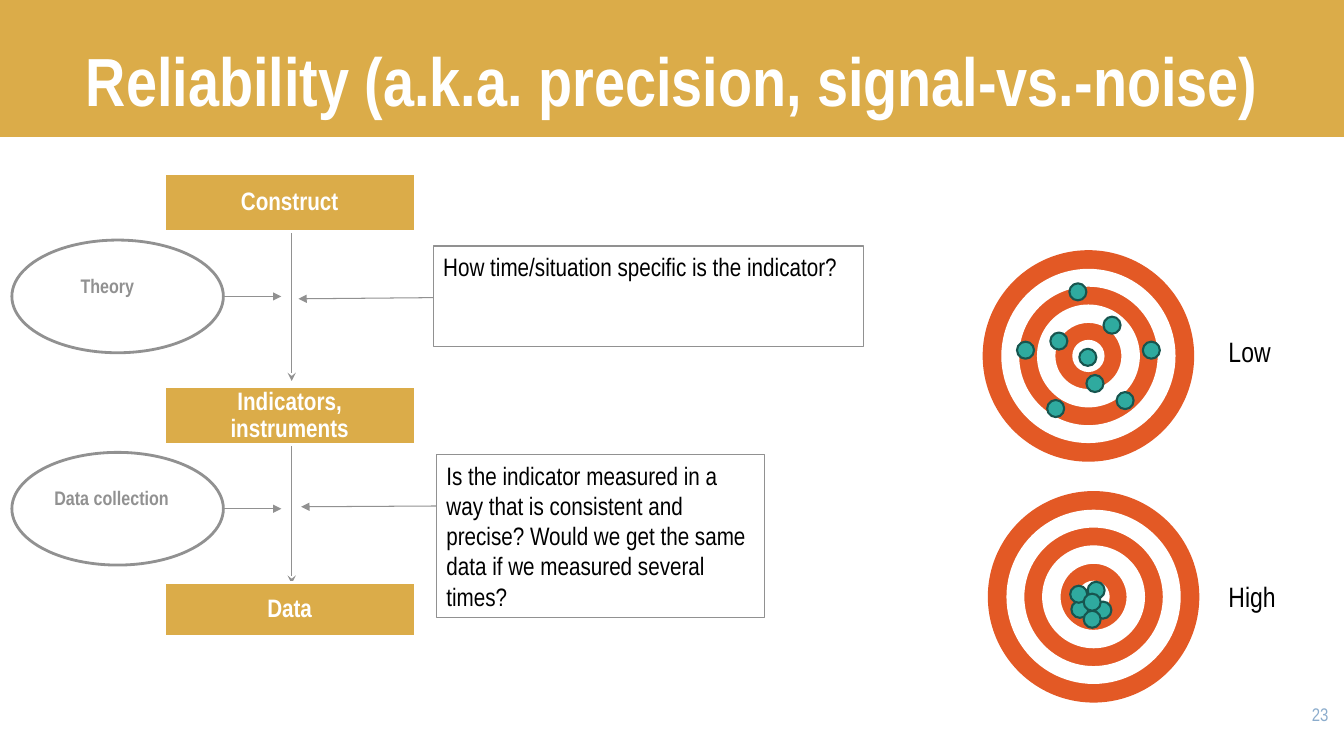
from dataclasses import dataclass, field

from lxml import etree
from pptx import Presentation
from pptx.dml.color import RGBColor
from pptx.enum.shapes import MSO_CONNECTOR, MSO_SHAPE
from pptx.enum.text import MSO_ANCHOR, PP_ALIGN
from pptx.oxml.ns import qn
from pptx.util import Cm, Pt

GOLD = RGBColor(0xDB, 0xAC, 0x49)
GRAY = RGBColor(0x91, 0x91, 0x91)
WHITE = RGBColor(0xFF, 0xFF, 0xFF)
BLACK = RGBColor(0x00, 0x00, 0x00)
BLUE = RGBColor(0x8B, 0xAC, 0xCC)
ORANGE = RGBColor(0xE3, 0x59, 0x25)
TEAL = RGBColor(0x2F, 0xAA, 0x9F)
DARK_TEAL = RGBColor(0x17, 0x55, 0x4F)

RECTANGLE, OVAL, DONUT = MSO_SHAPE.RECTANGLE, MSO_SHAPE.OVAL, MSO_SHAPE.DONUT
STRAIGHT = MSO_CONNECTOR.STRAIGHT
LEFT, CENTER, RIGHT = PP_ALIGN.LEFT, PP_ALIGN.CENTER, PP_ALIGN.RIGHT
TOP, MIDDLE, BOTTOM = MSO_ANCHOR.TOP, MSO_ANCHOR.MIDDLE, MSO_ANCHOR.BOTTOM

FONT = "Arial Narrow"
SLIDE_WIDTH = 33.87
STAGE_LEFT, STAGE_WIDTH = 4.14, 6.32
SPINE_X = 7.35
OVAL_LEFT, OVAL_WIDTH, OVAL_HEIGHT = 0.3, 5.33, 2.84
DOT_SIZE = 0.43


@dataclass(frozen=True)
class Box:
    """Position and size in centimetres."""
    left: float
    top: float
    width: float
    height: float


@dataclass(frozen=True)
class TextStyle:
    size: float
    color: RGBColor
    bold: bool = False
    align: PP_ALIGN = LEFT
    anchor: MSO_ANCHOR = TOP
    spacing: float = 1.0
    margins: tuple[float, float] = (0.25, 0.13)  # sides, top and bottom


@dataclass(frozen=True)
class Stage:
    text: str
    top: float
    height: float


@dataclass(frozen=True)
class Influence:
    text: str
    text_left: float
    top: float


@dataclass(frozen=True)
class Note:
    text: str
    box: Box
    arrow_start_y: float
    arrow_end: tuple[float, float]


@dataclass(frozen=True)
class Target:
    label: str
    label_top: float
    center: tuple[float, float]
    dots: list[tuple[float, float]] = field(default_factory=list)


TITLE_STYLE = TextStyle(48.6, WHITE, True, CENTER, BOTTOM)
STAGE_STYLE = TextStyle(18, WHITE, True, CENTER, MIDDLE, 0.9, (0.6, 0.1))
NOTE_STYLE = TextStyle(18, BLACK)
INFLUENCE_STYLE = TextStyle(14, GRAY, True, margins=(0.89, 0.6))
LABEL_STYLE = TextStyle(20, BLACK, margins=(0.25, 0.25))
NUMBER_STYLE = TextStyle(13, BLUE, align=RIGHT)

STAGES = [
    Stage("Construct", 4.37, 1.47),
    Stage("Indicators, instruments", 9.75, 1.45),
    Stage("Data", 14.68, 1.35),
]
SPINE_ARROWS = [(5.84, 9.6), (11.2, 14.71)]
INFLUENCES = [
    Influence("Theory", 1.14, 6.05),
    Influence("Data collection", 0.48, 11.4),
]
NOTES = [
    Note("How time/situation specific is the indicator?",
         Box(10.92, 6.2, 10.85, 2.54), 7.5, (7.52, 7.53)),
    Note("Is the indicator measured in a way that is consistent and precise? "
         "Would we get the same data if we measured several times?",
         Box(11, 11.46, 8.26, 4.11), 12.75, (7.59, 12.77)),
]
TARGETS = [
    Target("Low", 8.18, (27.43, 8.97),
           [(26.95, 7.14), (26.39, 10.08), (28.14, 9.88), (26.47, 8.38), (27.81, 7.98),
            (27.38, 9.45), (25.63, 8.61), (28.8, 8.61), (27.2, 8.79)]),
    Target("High", 14.35, (27.56, 15.04),
           [(27.41, 14.66), (27, 15.14), (27.58, 15.16), (26.97, 14.76),
            (27.31, 15.39), (27.31, 14.96)]),
]
# Preset, diameter, ring thickness, fill, line width
RINGS = [
    (OVAL, 5.33, None, ORANGE, 0),
    (DONUT, 4.32, 0.088, WHITE, 2),
    (DONUT, 2.54, 0.162, WHITE, 1.5),
    (OVAL, 0.76, None, WHITE, 1.5),
]


def write_text(shape, text: str, style: TextStyle) -> None:
    side, edge = (Cm(margin) for margin in style.margins)
    paragraph = shape.text_frame.paragraphs[0]
    paragraph.text = text
    formats = {
        shape.text_frame: {"word_wrap": True, "vertical_anchor": style.anchor,
                           "margin_left": side, "margin_right": side,
                           "margin_top": edge, "margin_bottom": edge},
        paragraph: {"alignment": style.align, "line_spacing": style.spacing},
        paragraph.runs[0].font: {"name": FONT, "size": Pt(style.size), "bold": style.bold},
    }
    for item, values in formats.items():
        for name, value in values.items():
            setattr(item, name, value)
    paragraph.runs[0].font.color.rgb = style.color


def add_text(slide, box: Box, text: str, style: TextStyle) -> None:
    shape = slide.shapes.add_textbox(Cm(box.left), Cm(box.top), Cm(box.width), Cm(box.height))
    write_text(shape, text, style)


def add_shape(slide, preset: MSO_SHAPE, box: Box, fill: RGBColor | None = None,
              line: RGBColor | None = None, line_width: float = 0):
    shape = slide.shapes.add_shape(
        preset, Cm(box.left), Cm(box.top), Cm(box.width), Cm(box.height))
    shape.shadow.inherit = False
    if fill is None:
        shape.fill.background()
    else:
        shape.fill.solid()
        shape.fill.fore_color.rgb = fill
    if line is None or not line_width:
        shape.line.fill.background()
    else:
        shape.line.color.rgb = line
        shape.line.width = Pt(line_width)
    return shape


def add_arrow(slide, start: tuple[float, float], end: tuple[float, float],
              head: str = "triangle") -> None:
    connector = slide.shapes.add_connector(
        STRAIGHT, *(Cm(value) for value in (*start, *end)))
    connector.line.color.rgb = GRAY
    connector.line.width = Pt(0.75)
    outline = connector.get_or_add_ln()
    etree.SubElement(outline, qn("a:tailEnd"), type=head)
    etree.SubElement(outline.getparent(), qn("a:effectLst"))


def add_target(slide, target: Target) -> None:
    center_x, center_y = target.center
    for preset, size, thickness, fill, line_width in RINGS:
        box = Box(center_x - size / 2, center_y - size / 2, size, size)
        ring = add_shape(slide, preset, box, fill, fill, line_width)
        if thickness is not None:
            ring.adjustments[0] = thickness
    for left, top in target.dots:
        add_shape(slide, OVAL, Box(left, top, DOT_SIZE, DOT_SIZE), TEAL, DARK_TEAL, 1.5)
    add_text(slide, Box(30.71, target.label_top, 1.98, 1.37), target.label, LABEL_STYLE)


def main() -> None:
    presentation = Presentation()
    presentation.slide_width, presentation.slide_height = Cm(SLIDE_WIDTH), Cm(19.05)
    slide = presentation.slides.add_slide(presentation.slide_layouts[6])

    # Header and slide number
    add_shape(slide, RECTANGLE, Box(0, 0, SLIDE_WIDTH, 3.45), GOLD)
    add_text(slide, Box(0, 0, SLIDE_WIDTH, 3.16),
             "Reliability (a.k.a. precision, signal-vs.-noise)", TITLE_STYLE)
    add_text(slide, Box(31.7, 17.6, 2.03, 1.45), "23", NUMBER_STYLE)

    # Chain from construct to data
    for start_y, end_y in SPINE_ARROWS:
        add_arrow(slide, (SPINE_X, start_y), (SPINE_X, end_y), "stealth")
    for stage in STAGES:
        box = Box(STAGE_LEFT, stage.top, STAGE_WIDTH, stage.height)
        write_text(add_shape(slide, RECTANGLE, box, GOLD, WHITE, 2), stage.text, STAGE_STYLE)

    # Questions on the right of the chain
    for note in NOTES:
        shape = add_shape(slide, RECTANGLE, note.box, line=GRAY, line_width=0.75)
        write_text(shape, note.text, NOTE_STYLE)
        add_arrow(slide, (note.box.left, note.arrow_start_y), note.arrow_end)

    # Influences on the left of the chain
    for influence in INFLUENCES:
        box = Box(OVAL_LEFT, influence.top, OVAL_WIDTH, OVAL_HEIGHT)
        add_shape(slide, OVAL, box, line=GRAY, line_width=2)
        add_text(slide, Box(influence.text_left, influence.top + 0.55, 6.27, 2.51),
                 influence.text, INFLUENCE_STYLE)
        arrow_y = influence.top + OVAL_HEIGHT / 2
        add_arrow(slide, (OVAL_LEFT + OVAL_WIDTH, arrow_y), (7.09, arrow_y))

    # Targets with low and high reliability
    for target in TARGETS:
        add_target(slide, target)

    presentation.save("out.pptx")


if __name__ == "__main__":
    main()
